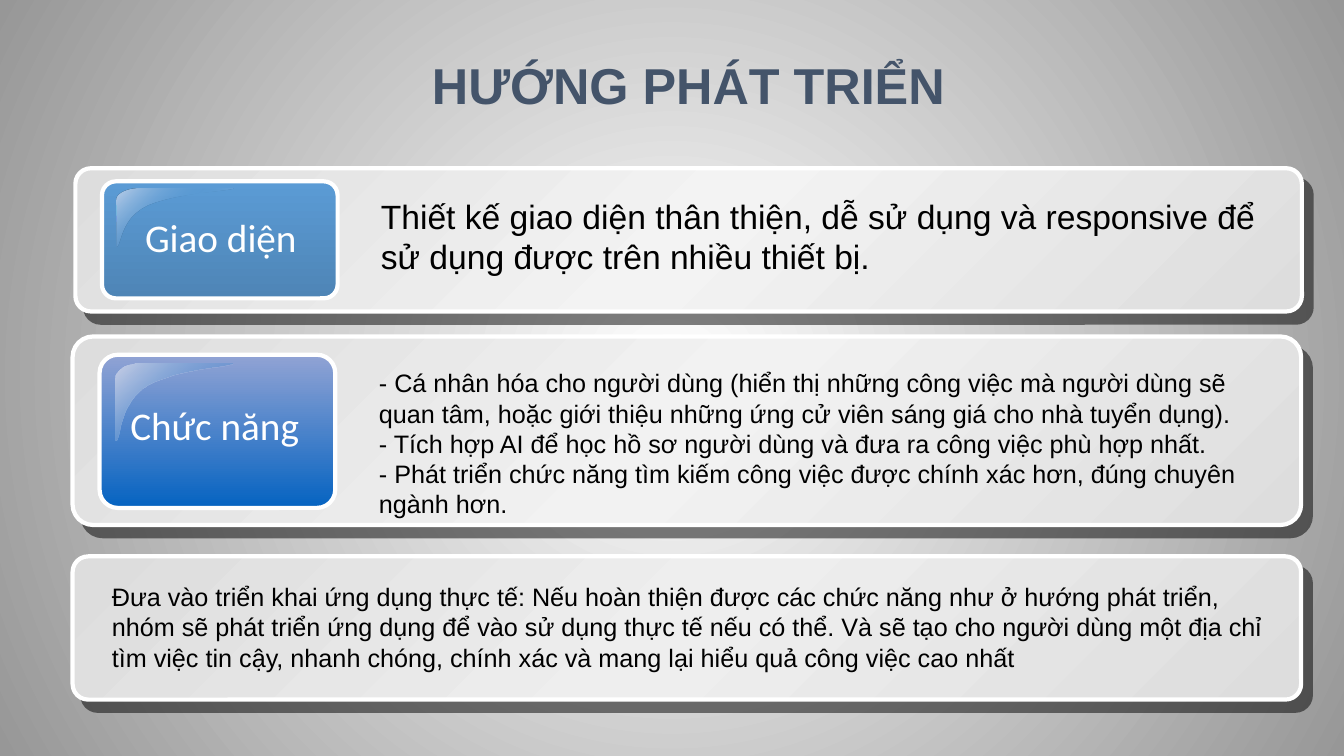
from lxml import etree
from pptx import Presentation
from pptx.dml.color import RGBColor
from pptx.enum.shapes import MSO_SHAPE
from pptx.enum.text import MSO_ANCHOR, MSO_AUTO_SIZE, PP_ALIGN
from pptx.oxml.ns import qn
from pptx.util import Cm, Pt

ROUNDED = MSO_SHAPE.ROUNDED_RECTANGLE
BOTTOM = MSO_ANCHOR.BOTTOM
TOP = MSO_ANCHOR.TOP
FIT_SHAPE = MSO_AUTO_SIZE.SHAPE_TO_FIT_TEXT
NO_FIT = MSO_AUTO_SIZE.NONE
CENTER = PP_ALIGN.CENTER
LEFT = PP_ALIGN.LEFT

WHITE = RGBColor(0xFF, 0xFF, 0xFF)
BLACK = RGBColor(0x00, 0x00, 0x00)
SLATE = RGBColor(0x44, 0x54, 0x6A)
BACKDROP_GREY = RGBColor(0x97, 0x97, 0x97)
CARD_EDGE = RGBColor(0xDD, 0xDD, 0xDD)
SKY = RGBColor(0x5B, 0x9B, 0xD5)
STEEL = RGBColor(0x4E, 0x85, 0xB6)
SKY_GLOSS = RGBColor(0xBE, 0xD0, 0xE9)
PERIWINKLE = RGBColor(0x91, 0xA3, 0xD4)
ROYAL = RGBColor(0x05, 0x63, 0xC1)
ROYAL_GLOSS = RGBColor(0xC9, 0xD0, 0xE7)

GLOSS_CURVES = [
    ((0.2, 0), (0.09, 0), (0, 0.09), (0, 0.2)),
    ((0, 1), (0.05, 1), (0.02, 0.52), (0.27, 0.29)),
    ((0.27, 0.29), (0.52, 0.07), (1, 0.05), (0.99, 0)),
]
CURVE_STEPS = 12

SECTIONS = [
    {
        "card": (1.9, 4.24, 30.91, 3.61),
        "middle": RGBColor(0xF3, 0xF3, 0xF3),
        "button": (2.57, 4.57, 5.94, 2.95),
        "button_stops": [(0, SKY, 100), (100, STEEL, 100)],
        "gloss": (2.95, 4.75, 2.97, 1.47),
        "gloss_stops": [(0, SKY_GLOSS, 100), (50, SKY, 0), (100, SKY_GLOSS, 100)],
        "label": "Giao diện",
        "label_box": (3.38, 5.26, 4.37, 1.45),
        "body_box": (9.35, 4.8, 22.71, 2.31),
        "size": 24,
        "body": ["Thiết kế giao diện thân thiện, dễ sử dụng và responsive để sử dụng được trên nhiều thiết bị."],
    },
    {
        "card": (1.83, 8.48, 30.96, 4.75),
        "middle": RGBColor(0xF2, 0xF2, 0xF2),
        "button": (2.51, 8.94, 5.94, 3.86),
        "button_stops": [(0, PERIWINKLE, 100), (100, ROYAL, 100)],
        "gloss": (2.9, 9.17, 3, 1.93),
        "gloss_stops": [(0, ROYAL_GLOSS, 100), (100, ROYAL, 0)],
        "label": "Chức năng",
        "label_box": (0.84, 9.98, 9.14, 1.9),
        "body_box": (9.3, 9.14, 22.76, 4.09),
        "size": 18,
        "body": [
            "- Cá nhân hóa cho người dùng (hiển thị những công việc mà người dùng sẽ quan tâm, "
            "hoặc giới thiệu những ứng cử viên sáng giá cho nhà tuyển dụng).",
            "- Tích hợp AI để học hồ sơ người dùng và đưa ra công việc phù hợp nhất.",
            "- Phát triển chức năng tìm kiếm công việc được chính xác hơn, đúng chuyên ngành hơn.",
        ],
    },
    {
        "card": (1.83, 14.02, 30.96, 3.61),
        "middle": RGBColor(0xEE, 0xEE, 0xEE),
        "body_box": (2.57, 14.53, 29.49, 2.57),
        "size": 18,
        "body": [
            "Đưa vào triển khai ứng dụng thực tế: Nếu hoàn thiện được các chức năng như ở hướng phát triển, "
            "nhóm sẽ phát triển ứng dụng để vào sử dụng thực tế nếu có thể. Và sẽ tạo cho người dùng "
            "một địa chỉ tìm việc tin cậy, nhanh chóng, chính xác và mang lại hiểu quả công việc cao nhất"
        ],
    },
]


def paint_gradient(fill, element, stops, angle=None):
    fill.gradient()
    gradient = next(element.iter(qn("a:gradFill")))
    for child in list(gradient):
        gradient.remove(child)
    stop_list = etree.SubElement(gradient, qn("a:gsLst"))
    for position, color, opacity in stops:
        stop = etree.SubElement(stop_list, qn("a:gs"), pos=str(position * 1000))
        tone = etree.SubElement(stop, qn("a:srgbClr"), val=str(color))
        if opacity < 100:
            etree.SubElement(tone, qn("a:alpha"), val=str(opacity * 1000))
    if angle is None:
        circle = etree.SubElement(gradient, qn("a:path"), path="circle")
        etree.SubElement(circle, qn("a:fillToRect"), l="50000", t="50000", r="50000", b="50000")
    else:
        etree.SubElement(gradient, qn("a:lin"), ang=str(angle * 60000), scaled="0")


def write_text(shape, lines, font_name, size, color, align, wrap, fit, anchor=TOP):
    frame = shape.text_frame
    frame.text = "\n".join(lines)
    frame.word_wrap = wrap
    frame.auto_size = fit
    frame.vertical_anchor = anchor
    for paragraph in frame.paragraphs:
        paragraph.alignment = align
        paragraph.font.name = font_name
        paragraph.font.size = Pt(size)
        paragraph.font.color.rgb = color


presentation = Presentation()
presentation.slide_width = Cm(33.87)
presentation.slide_height = Cm(19.05)
slide = presentation.slides.add_slide(presentation.slide_layouts[5])
paint_gradient(slide.background.fill, slide.element, [(0, WHITE, 100), (100, BACKDROP_GREY, 100)])

title = slide.shapes.title
title.left, title.top, title.width, title.height = Cm(1.27), Cm(1.47), Cm(32.16), Cm(1.57)
write_text(title, ["HƯỚNG PHÁT TRIỂN"], "Arial", 36, SLATE, CENTER, True, NO_FIT, BOTTOM)
heading = title.text_frame.paragraphs[0]
heading.font.bold = True
heading.line_spacing = 0.9

for section in SECTIONS:
    group = slide.shapes.add_group_shape().shapes
    card_stops = [(0, CARD_EDGE, 100), (50, section["middle"], 100), (100, CARD_EDGE, 100)]
    panels = [("card", card_stops, 45, 0.109)]
    if "button" in section:
        panels.append(("button", section["button_stops"], 90, 0.119))

    for part, stops, angle, rounding in panels:
        panel = group.add_shape(ROUNDED, *map(Cm, section[part]))
        panel.adjustments[0] = rounding
        paint_gradient(panel.fill, panel.element, stops, angle)
        panel.line.color.rgb = WHITE
        panel.line.width = Pt(3)
        panel.shadow.inherit = False
        if part == "card":
            effects = panel.element.spPr.find(qn("a:effectLst"))
            shadow = etree.SubElement(effects, qn("a:outerShdw"), blurRad="0", dist=str(Pt(10.6)),
                                      dir=str(49 * 60000), algn="ctr", rotWithShape="0")
            shade = etree.SubElement(shadow, qn("a:srgbClr"), val=str(BLACK))
            etree.SubElement(shade, qn("a:alpha"), val="50000")

    if "button" in section:
        left, top, width, height = map(Cm, section["gloss"])
        outline = []
        for start, pull, push, end in GLOSS_CURVES:
            for step in range(CURVE_STEPS + 1):
                t = step / CURVE_STEPS
                weights = ((1 - t) ** 3, 3 * t * (1 - t) ** 2, 3 * t ** 2 * (1 - t), t ** 3)
                x, y = (sum(w * v for w, v in zip(weights, axis)) for axis in zip(start, pull, push, end))
                outline.append((round(left + x * width), round(top + y * height)))
        builder = group.build_freeform(*outline[0])
        builder.add_line_segments(outline[1:], close=True)
        gloss = builder.convert_to_shape()
        paint_gradient(gloss.fill, gloss.element, section["gloss_stops"], 45)
        gloss.line.fill.background()
        gloss.shadow.inherit = False

        label = group.add_textbox(*map(Cm, section["label_box"]))
        write_text(label, [section["label"]], "Calibri", 28, WHITE, CENTER, False, FIT_SHAPE)

    body = group.add_textbox(*map(Cm, section["body_box"]))
    write_text(body, section["body"], "Arial", section["size"], BLACK, LEFT, True, FIT_SHAPE)

presentation.save("out.pptx")
